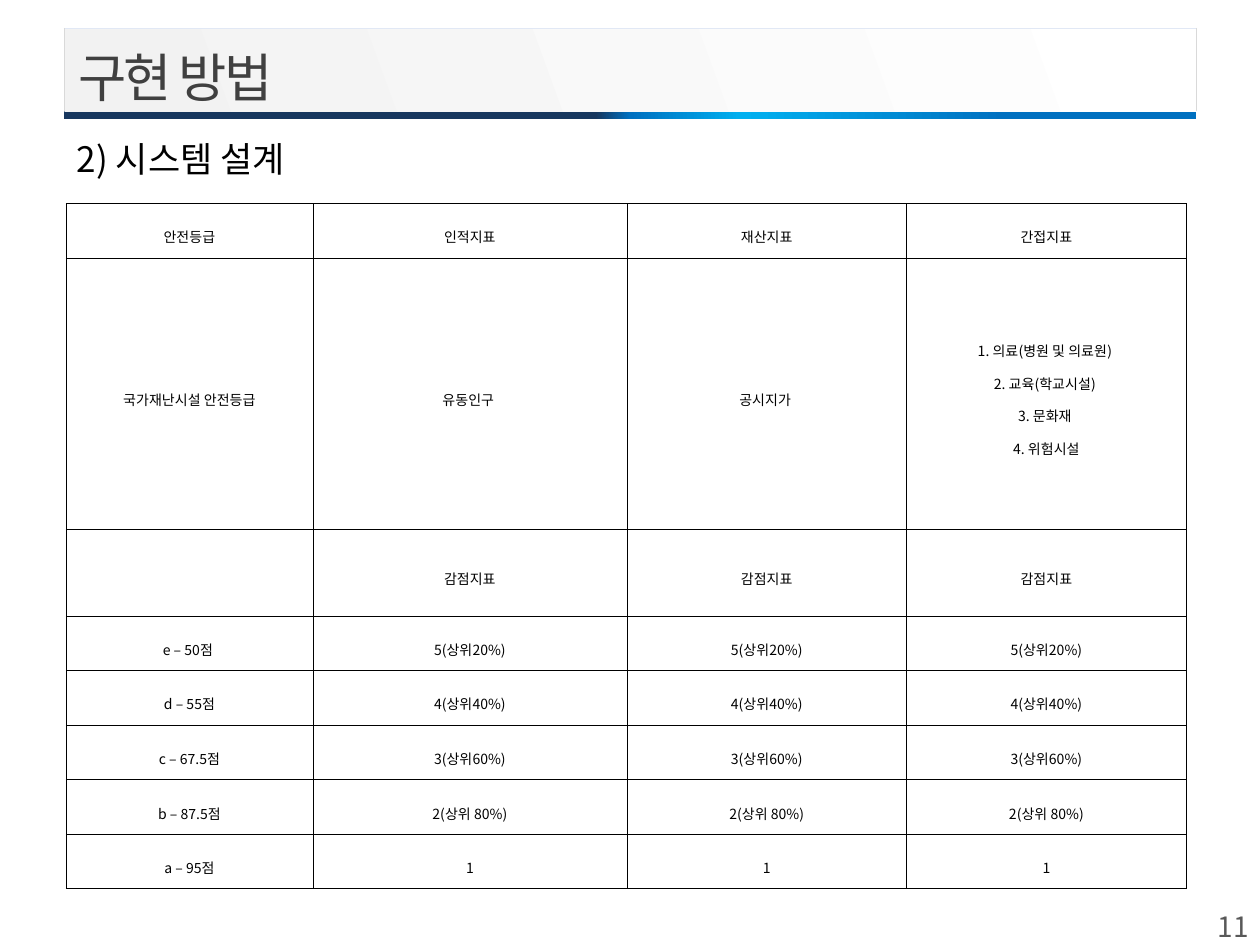
from lxml import etree
from pptx import Presentation
from pptx.dml.color import RGBColor
from pptx.enum.shapes import MSO_CONNECTOR, MSO_SHAPE
from pptx.enum.text import MSO_ANCHOR, PP_ALIGN
from pptx.oxml import parse_xml
from pptx.oxml.ns import qn
from pptx.util import Pt

RECT = MSO_SHAPE.RECTANGLE
STRAIGHT = MSO_CONNECTOR.STRAIGHT
MIDDLE = MSO_ANCHOR.MIDDLE
LEFT, CENTER, RIGHT = PP_ALIGN.LEFT, PP_ALIGN.CENTER, PP_ALIGN.RIGHT

FONT = "Noto Sans CJK KR"
NS = "http://schemas.openxmlformats.org/drawingml/2006/main"
COLORS = {
    "text": "000000",
    "title": "404040",
    "number": "595959",
    "panel": "F2F2F2",
    "white": "FFFFFF",
    "navy": "17375E",
    "blue": "0070C0",
    "sky": "00B0F0",
    "edge": "D9D9D9",
    "top_edge": "E1E8F5",
}

COL_WIDTHS = [141, 179.5, 159.8, 159.8]
ROW_HEIGHTS = [31.2, 154.8, 49.7] + [31.2] * 5
FACILITIES = "1. 의료(병원 및 의료원) \n2. 교육(학교시설) \n3. 문화재 \n4. 위험시설"
GRADES = [
    ("e – 50점 ", "5(상위20%)"),
    ("d – 55점", "4(상위40%)"),
    ("c – 67.5점", "3(상위60%)"),
    ("b – 87.5점", "2(상위 80%)"),
    ("a – 95점", "1"),
]
ROWS = [
    ["안전등급", "인적지표", "재산지표", "간접지표"],
    ["국가재난시설 안전등급", "유동인구 ", "공시지가 ", FACILITIES],
    [""] + ["감점지표"] * 3,
] + [[grade] + [score] * 3 for grade, score in GRADES]


def rgb(name):
    return RGBColor.from_string(COLORS[name])


def format_text(tf, size, color, align, spacing=None):
    for p in tf.paragraphs:
        p.alignment = align
        if spacing:
            p.line_spacing = spacing
        for r in p.runs:
            r.font.size = Pt(size)
            r.font.name = FONT
            r.font.color.rgb = rgb(color)
            ea = etree.SubElement(r.font._element, qn("a:ea"))
            ea.set("typeface", FONT)


def place_text(sp, box, text, size, color, align=LEFT):
    sp.left, sp.top, sp.width, sp.height = map(Pt, box)
    tf = sp.text_frame
    tf.text = text
    tf.word_wrap = False
    tf.vertical_anchor = MIDDLE
    format_text(tf, size, color, align)
    return tf


def add_text(slide, box, *style):
    sp = slide.shapes.add_textbox(*map(Pt, box))
    return place_text(sp, box, *style)


def add_gradient_rect(slide, box, stops, angle):
    sp = slide.shapes.add_shape(RECT, *map(Pt, box))
    sp.shadow.inherit = False
    sp.line.fill.background()
    sp.fill.gradient()
    sp.fill.gradient_angle = -angle % 360
    gs_list = sp._element.spPr.find(".//" + qn("a:gsLst"))
    for gs in list(gs_list):
        gs_list.remove(gs)
    for pos, color in stops:
        gs = etree.SubElement(gs_list, qn("a:gs"), pos=str(pos * 1000))
        etree.SubElement(gs, qn("a:srgbClr"), val=COLORS[color])


def add_line(slide, ends, color, width):
    line = slide.shapes.add_connector(STRAIGHT, *map(Pt, ends))
    line.line.color.rgb = rgb(color)
    line.line.width = Pt(width)
    etree.SubElement(line._element.spPr, qn("a:effectLst"))


def add_borders(cell, color, width):
    tc_pr = cell._tc.get_or_add_tcPr()
    for i, side in enumerate(["lnL", "lnR", "lnT", "lnB"]):
        tc_pr.insert(i, parse_xml(
            f'<a:{side} xmlns:a="{NS}" w="{Pt(width)}"><a:solidFill>'
            f'<a:srgbClr val="{COLORS[color]}"/></a:solidFill></a:{side}>'))


def fill_cell(cell, text):
    cell.text_frame.text = text
    cell.vertical_anchor = MIDDLE
    cell.margin_left = cell.margin_right = Pt(5.1)
    cell.margin_top = cell.margin_bottom = Pt(1.4)
    cell.fill.background()
    add_borders(cell, "text", 0.28)
    format_text(cell.text_frame, 8, "text", CENTER, 1.6)


def add_grade_table(slide, left, top):
    size = Pt(sum(COL_WIDTHS)), Pt(sum(ROW_HEIGHTS))
    table = slide.shapes.add_table(
        len(ROWS), len(COL_WIDTHS), Pt(left), Pt(top), *size).table
    table.first_row = table.horz_banding = False
    for col, width in zip(table.columns, COL_WIDTHS):
        col.width = Pt(width)
    for row, height, texts in zip(table.rows, ROW_HEIGHTS, ROWS):
        row.height = Pt(height)
        for cell, text in zip(row.cells, texts):
            fill_cell(cell, text)


def add_header(slide):
    add_gradient_rect(slide, (36.4, 63.6, 647.3, 4.4),
                      [(47, "navy"), (50, "blue"), (60, "sky"), (83, "blue")], 0)
    add_gradient_rect(slide, (37.1, 16.9, 646.6, 47),
                      [(0, "white"), (100, "panel")], 160)
    add_line(slide, (36.4, 16, 683.7, 16), "top_edge", 0.25)
    for x in (36.7, 683.5):
        add_line(slide, (x, 16, x, 63.6), "edge", 0.5)


def main():
    prs = Presentation()
    prs.slide_width, prs.slide_height = Pt(720), Pt(540)
    slide = prs.slides.add_slide(prs.slide_layouts[5])
    add_header(slide)
    title = slide.shapes.title
    tf = place_text(title, (37.4, 21.6, 128.9, 43.9), "구현 방법", 30, "title")
    tf.paragraphs[0].runs[0].font._element.set("spc", "-150")
    slide.shapes._spTree.append(title._element)
    add_text(slide, (36.7, 74.9, 146.9, 31.7), "2) 시스템 설계", 20, "text")
    add_grade_table(slide, 37.8, 116.2)
    add_text(slide, (687.6, 516.2, 33.1, 26.6), "11", 16, "number", RIGHT)
    prs.save("out.pptx")


if __name__ == "__main__":
    main()
